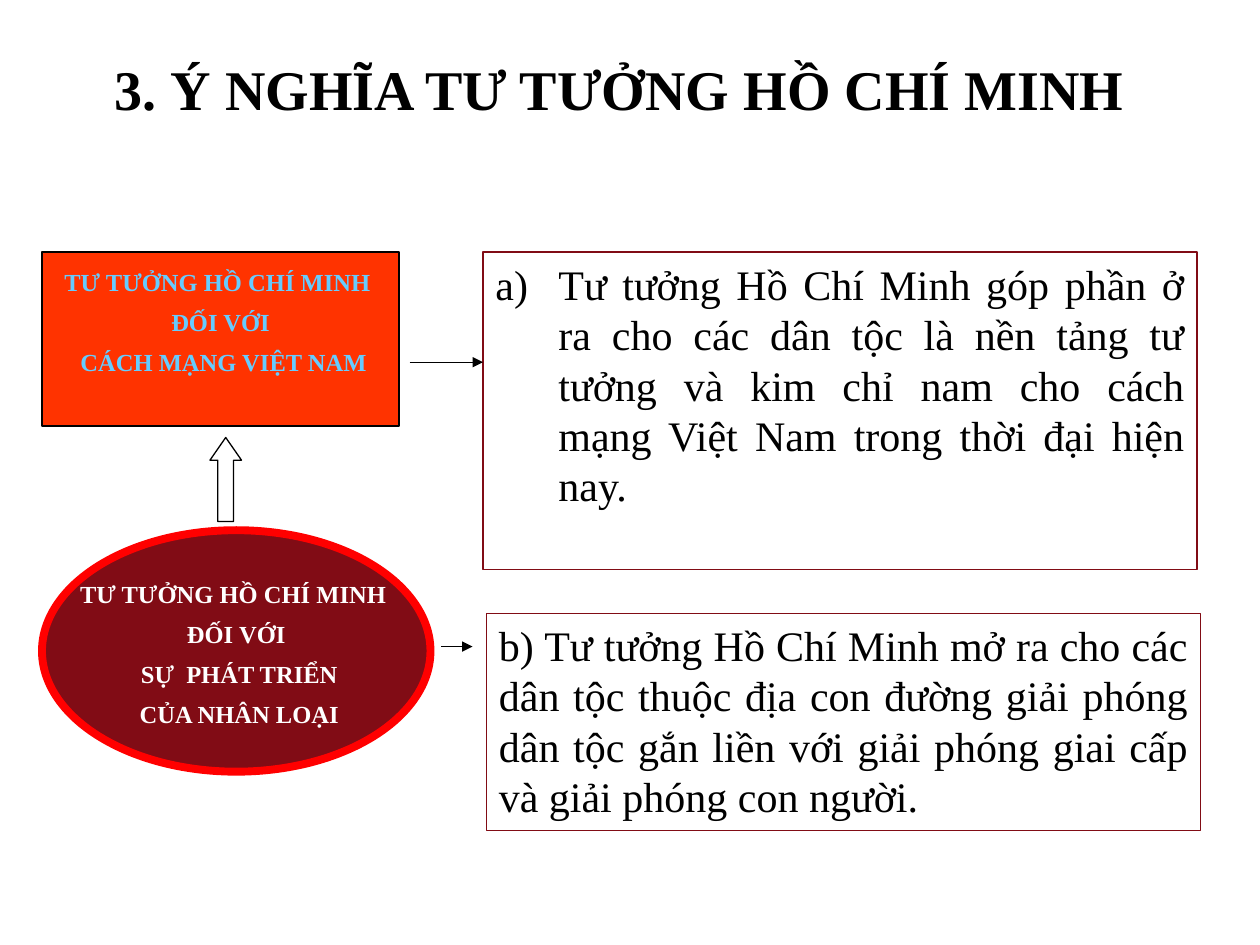
"""Build the slide on the meaning of Ho Chi Minh thought."""
import pptx
import pptx.util
import pptx.dml.color
import pptx.enum.shapes
import pptx.enum.text
import pptx.oxml.ns
import lxml.etree

Pt = pptx.util.Pt
SHAPE = pptx.enum.shapes.MSO_SHAPE
ALIGN = pptx.enum.text.PP_ALIGN
ANCHOR = pptx.enum.text.MSO_ANCHOR
HUES = {"black": "000000", "white": "FFFFFF", "wine": "810C15",
        "red": "FF0000", "flame": "FF3300", "sky": "66CCFF"}
HEAD = "TƯ TƯỞNG HỒ CHÍ MINH "
LABEL = {"alignment": ALIGN.CENTER, "line_spacing": Pt(20), "space_before": Pt(3)}
BODY = {"alignment": ALIGN.JUSTIFY}
MIDDLE = {"vertical_anchor": ANCHOR.MIDDLE, "word_wrap": False}
TOP = {"vertical_anchor": ANCHOR.TOP, "word_wrap": True}

ITEMS = [
    {"kind": SHAPE.UP_ARROW, "at": (120, 250, 18, 48), "edge": ("black", 0.75)},
    {"kind": SHAPE.OVAL, "at": (24, 303, 222, 138), "fill": "wine", "edge": ("red", 4.5),
     "text": [HEAD, "ĐỐI VỚI", " SỰ  PHÁT TRIỂN", " CỦA NHÂN LOẠI"],
     "font": (14, "white", True), "para": LABEL, "frame": MIDDLE},
    {"kind": SHAPE.RECTANGLE, "at": (278, 350.5, 408, 124), "edge": ("wine", 0.75),
     "text": ["b) Tư tưởng Hồ Chí Minh mở ra cho các dân tộc thuộc địa con đường "
              "giải phóng dân tộc gắn liền với giải phóng giai cấp và giải phóng con người."],
     "font": (24, "black", False), "para": BODY, "frame": TOP},
    {"kind": SHAPE.RECTANGLE, "at": (24, 144, 204, 99.5), "fill": "flame", "edge": ("black", 0.75),
     "text": [HEAD, "ĐỐI VỚI", " CÁCH MẠNG VIỆT NAM"],
     "font": (14, "sky", True), "para": LABEL, "frame": {**MIDDLE, "margin_bottom": Pt(26.6)}},
    {"kind": SHAPE.RECTANGLE, "at": (276, 144, 408, 181.5), "edge": ("wine", 0.75),
     "text": ["Tư tưởng Hồ Chí Minh góp phần ở ra cho các dân tộc là nền tảng tư tưởng "
              "và kim chỉ nam cho cách mạng Việt Nam trong thời đại hiện nay."],
     "font": (24, "black", False), "para": BODY, "frame": TOP, "list": 36},
]
TITLE = {"text": ["3. Ý NGHĨA TƯ TƯỞNG HỒ CHÍ MINH"], "font": (32, "black", True),
         "para": {"alignment": ALIGN.CENTER},
         "frame": {"vertical_anchor": ANCHOR.MIDDLE, "word_wrap": True}}
LINKS = [(252, 270, 369.5), (234, 276, 207)]


def color(name):
    return pptx.dml.color.RGBColor.from_string(HUES[name])


def apply(thing, values):
    for key, value in values.items():
        setattr(thing, key, value)


def child(node, tag, **values):
    return lxml.etree.SubElement(node, pptx.oxml.ns.qn(tag), values)


def write(shape, item):
    frame = shape.text_frame
    apply(frame, item["frame"])
    size, hue, bold = item["font"]
    for rank, line in enumerate(item["text"]):
        para = frame.add_paragraph() if rank else frame.paragraphs[0]
        apply(para, item["para"])
        run = para.add_run()
        run.text = line
        apply(run.font, {"name": "Times New Roman", "size": Pt(size), "bold": bold})
        run.font.color.rgb = color(hue)
        if "list" in item:
            props = para._p.get_or_add_pPr()
            indent = Pt(item["list"])
            props.set("marL", str(indent))
            props.set("indent", str(-indent))
            child(props, "a:buFont", typeface="Times New Roman")
            child(props, "a:buAutoNum", type="alphaLcParenR")


def draw(slide, item):
    shape = slide.shapes.add_shape(item["kind"], *map(Pt, item["at"]))
    shape.shadow.inherit = False
    if "fill" in item:
        shape.fill.solid()
        shape.fill.fore_color.rgb = color(item["fill"])
    else:
        shape.fill.background()
    hue, width = item["edge"]
    shape.line.color.rgb = color(hue)
    shape.line.width = Pt(width)
    if item["kind"] == SHAPE.UP_ARROW:
        shape.adjustments[1] = 0.72
    if "text" in item:
        write(shape, item)


def link(slide, left, right, top):
    line = slide.shapes.add_connector(pptx.enum.shapes.MSO_CONNECTOR.STRAIGHT,
                                      Pt(left), Pt(top), Pt(right), Pt(top))
    line.line.color.rgb = color("black")
    line.line.width = Pt(0.75)
    child(line.line._get_or_add_ln(), "a:tailEnd", type="triangle")
    child(line._element.spPr, "a:effectLst")


def main():
    deck = pptx.Presentation()
    apply(deck, {"slide_width": Pt(720), "slide_height": Pt(540)})
    slide = deck.slides.add_slide(deck.slide_layouts[6])
    write(slide.shapes.add_textbox(Pt(24), Pt(21.6), Pt(660), Pt(57)), TITLE)
    for item in ITEMS:
        draw(slide, item)
    for ends in LINKS:
        link(slide, *ends)
    deck.save("out.pptx")


if __name__ == "__main__":
    main()
